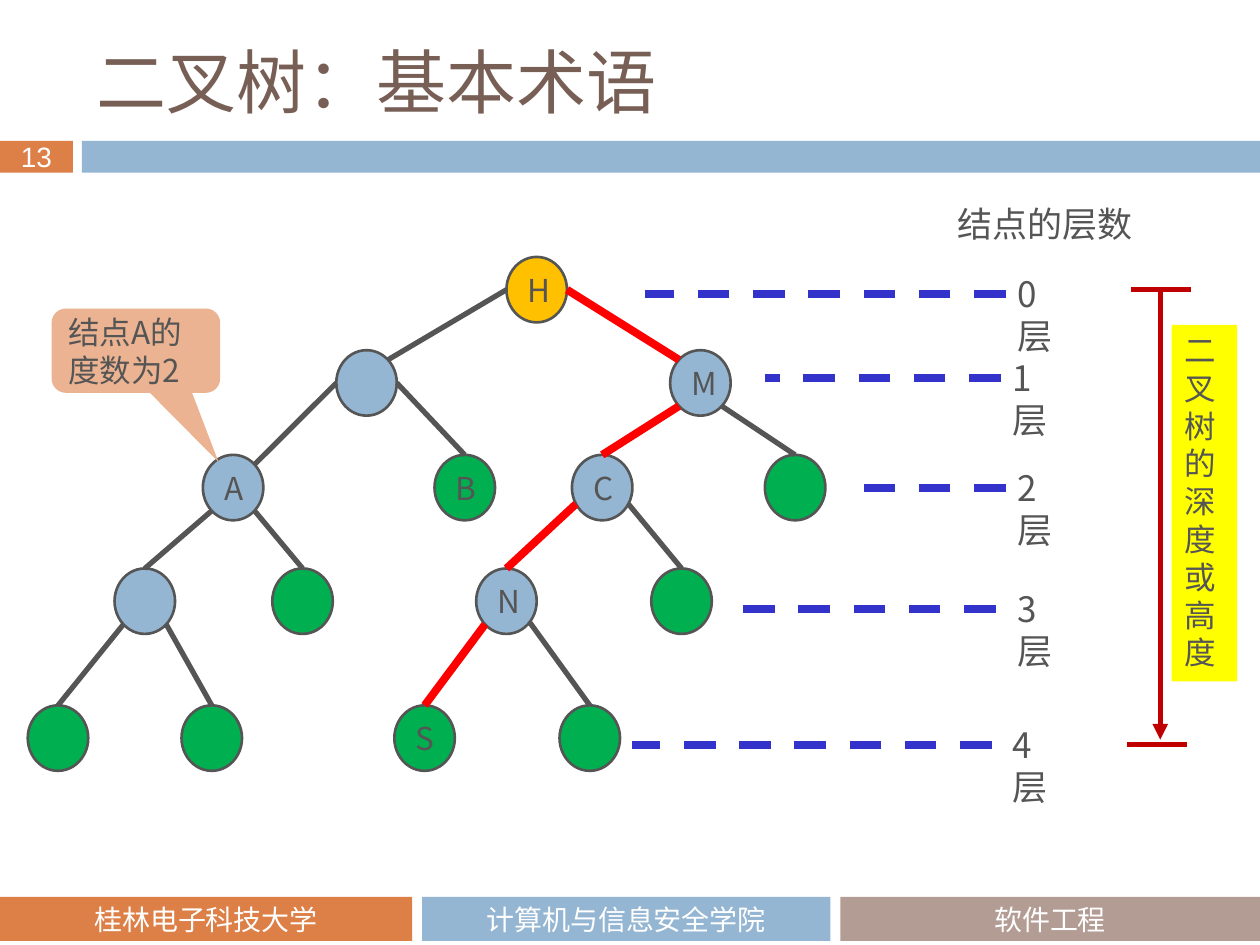
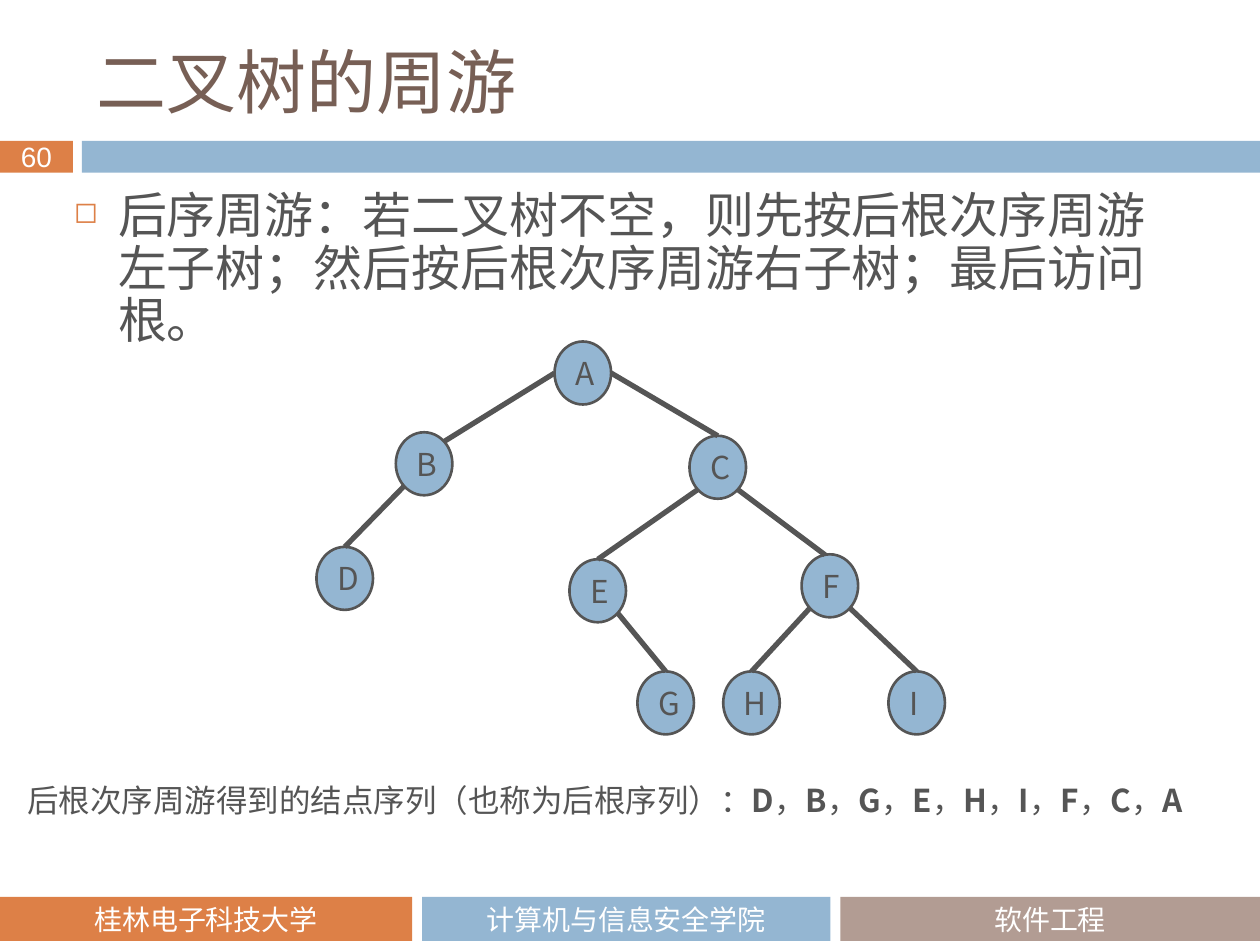
import math

from lxml import etree
from pptx import Presentation
from pptx import util as u
from pptx.dml.color import RGBColor
from pptx.enum import dml, shapes, text
from pptx.oxml.ns import qn

COLORS = {
    "orange": "DD8047", "blue": "94B6D2", "taupe": "B29C93", "brown": "775F55",
    "gray": "555555", "white": "FFFFFF", "gold": "FFC000", "green": "00B050",
    "red": "FF0000", "dark_red": "C00000", "indigo": "3333CC",
    "yellow": "FFFF00", "peach": "EBB391",
}
SANS = "Noto Sans CJK SC"
FOOTERS = [
    (0, 8.31, "orange", "桂林电子科技大学"),
    (8.51, 8.23, "blue", "计算机与信息安全学院"),
    (16.94, 8.46, "taupe", "软件工程"),
]
TOP = 270


def rgb(name):
    return RGBColor.from_string(COLORS[name])


def cm(*lengths):
    return [u.Cm(length) for length in lengths]


class Deck:
    def __init__(self):
        self.prs = Presentation()
        self.prs.slide_width, self.prs.slide_height = cm(25.4, 19.05)
        self.slide = None

    def new_slide(self, title, number):
        self.slide = self.prs.slides.add_slide(self.prs.slide_layouts[5])
        heading = self.slide.shapes.title
        heading.left, heading.top, heading.width, heading.height = cm(1.7, 0.64, 22.66, 1.98)
        self.set_text(heading, [(title, False)], size=40, color="brown", font="Noto Sans CJK JP",
                      anchor=text.MSO_ANCHOR.MIDDLE)
        band = {"size": 16, "color": "white", "align": text.PP_ALIGN.CENTER}
        self.shape((0, 2.84, 1.47, 0.64), "orange", number, font="Arial", **band)
        self.shape((1.65, 2.84, 23.75, 0.64), "blue")
        for left, width, fill, name in FOOTERS:
            self.shape((left, 18.08, width, 0.89), fill, name, font="Calibri", **band)

    def set_text(self, shape, runs, size=18, color="gray", font=SANS, spacing=None,
                 align=text.PP_ALIGN.LEFT, anchor=text.MSO_ANCHOR.TOP, bullet=None):
        frame = shape.text_frame
        frame_format = {"word_wrap": True, "auto_size": text.MSO_AUTO_SIZE.NONE,
                        "vertical_anchor": anchor}
        for key, value in frame_format.items():
            setattr(frame, key, value)
        paragraph = frame.paragraphs[0]
        paragraph.alignment = align
        if spacing:
            paragraph.line_spacing = u.Pt(spacing)
        if bullet:
            self.bullet(paragraph, bullet)
        for words, bold in runs:
            run = paragraph.add_run()
            run.text = words
            run_format = {"size": u.Pt(size), "name": font, "bold": bold}
            for key, value in run_format.items():
                setattr(run.font, key, value)
            run.font.color.rgb = rgb(color)
            east_asian = etree.SubElement(run.font._element, qn("a:ea"))
            east_asian.set("typeface", font)

    def bullet(self, paragraph, mark):
        props = paragraph._p.get_or_add_pPr()
        props.set("marL", str(u.Cm(0.89)))
        props.set("indent", str(u.Cm(-0.89)))
        tint = etree.SubElement(props, qn("a:buClr"))
        etree.SubElement(tint, qn("a:srgbClr")).set("val", COLORS["orange"])
        etree.SubElement(props, qn("a:buSzPct")).set("val", "60000")
        etree.SubElement(props, qn("a:buChar")).set("char", mark)

    def shape(self, box, fill, words="", kind=shapes.MSO_SHAPE.RECTANGLE, outline=None,
              anchor=text.MSO_ANCHOR.MIDDLE, **style):
        shape = self.slide.shapes.add_shape(kind, *cm(*box))
        shape.shadow.inherit = False
        shape.fill.solid()
        shape.fill.fore_color.rgb = rgb(fill)
        if outline:
            shape.line.color.rgb = rgb(outline)
            shape.line.width = u.Pt(1.5)
        else:
            shape.line.fill.background()
        if words:
            self.set_text(shape, [(words, False)], anchor=anchor, **style)
        return shape

    def textbox(self, box, runs, **style):
        self.set_text(self.slide.shapes.add_textbox(*cm(*box)), runs, **style)

    def line(self, start, end, color="gray", width=3, dashed=False, arrow=False):
        line = self.slide.shapes.add_connector(shapes.MSO_CONNECTOR.STRAIGHT, *cm(*start, *end))
        line.line.color.rgb = rgb(color)
        line.line.width = u.Pt(width)
        if dashed:
            line.line.dash_style = dml.MSO_LINE.DASH
        if arrow:
            outline = line._element.spPr.find(qn("a:ln"))
            etree.SubElement(outline, qn("a:tailEnd")).set("type", "triangle")
        etree.SubElement(line._element.spPr, qn("a:effectLst"))

    def tree(self, nodes, edges, size, fills, trail=""):
        width, height = size

        def rim(node, angle):
            x, y = nodes[node]
            turn = math.radians(angle)
            return x + width / 2 * math.cos(turn), y + height / 2 * math.sin(turn)

        for node, (x, y) in nodes.items():
            label = node if len(node) == 1 else ""
            self.shape((x - width / 2, y - height / 2, width, height), fills.get(node, "blue"),
                       label, kind=shapes.MSO_SHAPE.OVAL, outline="gray")
        for (parent, child), angles in edges.items():
            leftward = nodes[child][0] < nodes[parent][0]
            leave, arrive = angles or (135 if leftward else 45, TOP)
            on_trail = parent in trail and child in trail
            look = {"color": "red", "width": 4.5} if on_trail else {}
            self.line(rim(parent, leave), rim(child, arrive), **look)


def terms_slide(deck):
    deck.new_slide("二叉树：基本术语", "13")
    depths = [5.84, 7.72, 9.83, 12.12, 14.88]
    columns = {
        "H": (10.82, 0), "left": (7.39, 1), "M": (14.12, 1),
        "A": (4.7, 2), "B": (9.37, 2), "C": (12.14, 2), "M right": (16.03, 2),
        "A left": (2.92, 3), "A right": (6.1, 3), "N": (10.21, 3), "C right": (13.74, 3),
        "outer": (1.17, 4), "inner": (4.27, 4), "S": (8.56, 4), "N right": (11.89, 4),
    }
    nodes = {node: (x, depths[depth]) for node, (x, depth) in columns.items()}
    edges = {
        ("H", "left"): (180, 315), ("H", "M"): (0, 225),
        ("left", "A"): (180, 315), ("left", "B"): (0, TOP),
        ("M", "C"): None, ("M", "M right"): None,
        ("A", "A left"): None, ("A", "A right"): None,
        ("C", "N"): (150, TOP), ("C", "C right"): (30, TOP),
        ("A left", "outer"): None, ("A left", "inner"): None,
        ("N", "S"): None, ("N", "N right"): (40, TOP),
    }
    parents = {parent for parent, _ in edges}
    fills = {node: "green" for node in nodes if node not in parents}
    deck.tree(nodes, edges, (1.22, 1.32), {**fills, "H": "gold"}, trail="HMCNS")

    deck.textbox((19.05, 3.96, 4.3, 1.12), [("结点的层数", False)], size=20, spacing=24)
    levels = [(20.27, 20.27, 13, 5.92), (20.17, 20.17, 15.42, 7.62), (20.27, 20.27, 17.04, 9.83),
              (20.27, 20.07, 14.61, 12.27), (20.17, 19.99, 12.75, 15.01)]
    for level, (label_x, start, end, y) in enumerate(levels):
        deck.textbox((label_x, y - 0.55, 1.55, 1.12), [(f"{level}层", False)], size=20, spacing=24)
        deck.line((start, y), (end, y), "indigo", 4.5, dashed=True)

    for left, y in [(22.8, 5.84), (22.72, 15.01)]:
        deck.line((left, y), (left + 1.21, y), "dark_red")
    deck.shape((23.62, 6.55, 1.32, 7.19), "yellow", "二叉树的深度或高度",
               anchor=text.MSO_ANCHOR.TOP, spacing=21.6)
    deck.line((23.39, 5.87), (23.39, 14.91), "dark_red", arrow=True)
    callout = deck.shape((1.04, 6.22, 3.4, 1.7), "peach", "结点A的度数为2",
                         kind=shapes.MSO_SHAPE.ROUNDED_RECTANGULAR_CALLOUT, spacing=21.6)
    for index, value in enumerate([0.49, 1.32, 0.17]):
        callout.adjustments[index] = value


def traversal_slide(deck):
    deck.new_slide("二叉树的周游", "60")
    rule = "后序周游：若二叉树不空，则先按后根次序周游左子树；然后按后根次序周游右子树；最后访问根。"
    deck.textbox((1.24, 3.73, 22.66, 3.71), [(rule, False)], size=28, spacing=30, bullet="◻")
    nodes = {
        "A": (11.75, 7.52), "B": (8.55, 9.35), "C": (14.47, 9.42),
        "D": (6.95, 11.66), "E": (12.05, 11.91), "F": (16.73, 11.81),
        "G": (13.42, 14.17), "H": (15.15, 14.17), "I": (18.48, 14.17),
    }
    edges = {
        ("A", "B"): (180, 315), ("A", "C"): (0, TOP), ("B", "D"): None,
        ("C", "E"): None, ("C", "F"): (45, 260), ("E", "G"): None,
        ("F", "H"): None, ("F", "I"): None,
    }
    deck.tree(nodes, edges, (1.14, 1.27), {})
    sequence = [("后根次序周游得到的结点序列（也称为后根序列）：", False)]
    for node in "DBGEHIFCA":
        sequence += [(node, True), ("，", False)]
    deck.textbox((0.3, 15.62, 24.59, 1.8), sequence[:-1], spacing=21.6)


def main():
    deck = Deck()
    terms_slide(deck)
    traversal_slide(deck)
    deck.prs.save("out.pptx")


if __name__ == "__main__":
    main()
